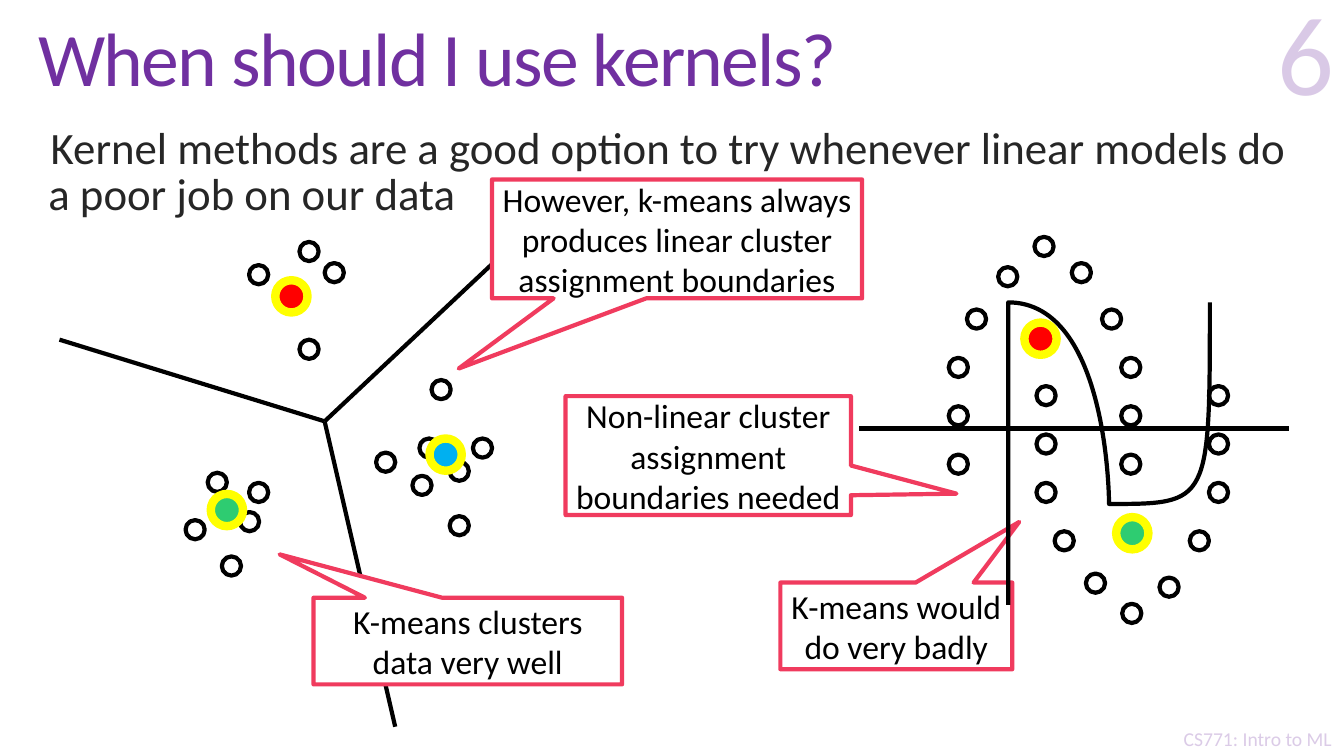
from dataclasses import dataclass

from pptx import Presentation
from pptx.dml.color import RGBColor
from pptx.enum.shapes import MSO_CONNECTOR as Connector, MSO_SHAPE as Shape
from pptx.enum.text import MSO_ANCHOR as Anchor, MSO_AUTO_SIZE as AutoSize, PP_ALIGN as Align
from pptx.oxml.ns import qn
from pptx.oxml.xmlchemy import OxmlElement
from pptx.util import Inches, Pt


@dataclass(frozen=True)
class Theme:
    font: str = "Calibri"
    purple: str = "7030A0"
    body: str = "262626"
    ink: str = "000000"
    paper: str = "FFFFFF"
    callout: str = "F03B5E"
    halo: str = "FFFF00"
    red: str = "FF0000"
    blue: str = "00B0F0"
    green: str = "2ECC71"
    title_size: int = 54
    body_size: int = 32
    callout_size: int = 24
    number_size: int = 80
    footer_size: int = 14
    line_width: int = 3
    halo_width: int = 6
    dot: float = 0.19
    centroid: float = 0.32


class KernelSlide:
    def __init__(self, deck, theme):
        self.theme = theme
        self.page = deck.slides.add_slide(deck.slide_layouts[1])
        self.shapes = self.page.shapes

    def set_alpha(self, fill, percent):
        alpha = OxmlElement("a:alpha")
        alpha.set("val", str(percent * 1000))
        fill.find(qn("a:srgbClr")).append(alpha)

    def fill_text(self, box, text, size, color, align, anchor, wrap=True):
        frame = box.text_frame
        frame.text = text
        frame.word_wrap = wrap
        frame.auto_size = AutoSize.NONE
        frame.vertical_anchor = anchor
        para = frame.paragraphs[0]
        para.alignment = align
        para.space_before = Pt(0)
        span = para.runs[0]
        span.font.name = self.theme.font
        span.font.size = Pt(size)
        span.font.color.rgb = RGBColor.from_string(color)
        return para, span

    def place(self, box, left, top, width, height):
        box.left, box.top = Inches(left), Inches(top)
        box.width, box.height = Inches(width), Inches(height)

    def title(self, text, *bounds):
        box = self.shapes.title
        self.place(box, *bounds)
        para, span = self.fill_text(box, text, self.theme.title_size, self.theme.purple, Align.LEFT, Anchor.MIDDLE)
        para.line_spacing = 0.85
        span.font._element.set("spc", "-120")

    def body(self, text, *bounds):
        box = self.page.placeholders[1]
        self.place(box, *bounds)
        para, _ = self.fill_text(box, text, self.theme.body_size, self.theme.body, Align.LEFT, Anchor.TOP)
        para.line_spacing = 0.85
        properties = para._p.get_or_add_pPr()
        properties.set("marL", str(Inches(0.1)))
        properties.set("indent", str(Inches(-0.1)))
        bullet = OxmlElement("a:buChar")
        bullet.set("char", " ")
        properties.append(bullet)

    def label(self, text, bounds, size, align, anchor, wrap=True):
        box = self.shapes.add_textbox(*map(Inches, bounds))
        return self.fill_text(box, text, size, self.theme.purple, align, anchor, wrap)[1]

    def number(self, text, *bounds):
        span = self.label(text, bounds, self.theme.number_size, Align.RIGHT, Anchor.BOTTOM)
        self.set_alpha(span.font._element.find(qn("a:solidFill")), 25)

    def footer(self, text, *bounds):
        self.label(text, bounds, self.theme.footer_size, Align.CENTER, Anchor.TOP, False)

    def stroke(self, line, color, width):
        line.color.rgb = RGBColor.from_string(color)
        line.width = Pt(width)

    def shape(self, kind, bounds, fill, line=None, width=0):
        shape = self.shapes.add_shape(kind, *map(Inches, bounds))
        shape.shadow.inherit = False
        shape.fill.solid()
        shape.fill.fore_color.rgb = RGBColor.from_string(fill)
        if line:
            self.stroke(shape.line, line, width)
        else:
            shape.line.fill.background()
        return shape

    def veil(self, *bounds):
        shape = self.shape(Shape.RECTANGLE, bounds, self.theme.paper)
        self.set_alpha(shape._element.spPr.find(qn("a:solidFill")), 75)

    def dots(self, points):
        size = self.theme.dot
        for left, top in points:
            self.shape(Shape.OVAL, (left, top, size, size), self.theme.paper, self.theme.ink, self.theme.line_width)

    def centroid(self, left, top, color):
        size = self.theme.centroid
        self.shape(Shape.OVAL, (left, top, size, size), color, self.theme.halo, self.theme.halo_width)

    def line(self, start, end):
        line = self.shapes.add_connector(Connector.STRAIGHT, *map(Inches, start + end))
        self.stroke(line.line, self.theme.ink, self.theme.line_width)
        line._element.spPr.append(OxmlElement("a:effectLst"))

    def callout(self, text, bounds, tip):
        shape = self.shape(Shape.RECTANGULAR_CALLOUT, bounds, self.theme.paper, self.theme.callout, self.theme.line_width)
        shape.adjustments[0], shape.adjustments[1] = tip
        self.fill_text(shape, text, self.theme.callout_size, self.theme.ink, Align.CENTER, Anchor.MIDDLE)

    def curve(self, start, controls):
        builder = self.shapes.build_freeform(*start, scale=Inches(1))
        builder.add_line_segments(controls, close=False)
        shape = builder.convert_to_shape()
        shape.shadow.inherit = False
        shape.fill.background()
        self.stroke(shape.line, self.theme.ink, self.theme.line_width)
        outline = next(shape._element.iter(qn("a:path")))
        segments = outline.findall(qn("a:lnTo"))
        for first in range(0, len(segments), 3):
            bezier = OxmlElement("a:cubicBezTo")
            for segment in segments[first:first + 3]:
                bezier.append(segment[0])
                outline.remove(segment)
            outline.append(bezier)


def main():
    deck = Presentation()
    deck.slide_width, deck.slide_height = Inches(13.33), Inches(7.5)
    theme = Theme()
    slide = KernelSlide(deck, theme)

    slide.footer("CS771: Intro to ML", 11.52, 7.16, 1.91, 0.34)
    slide.veil(11.64, 5.68, 1.69, 1.82)
    slide.title("When should I use kernels?", 0.28, 0.04, 12.69, 1.18)
    slide.body("Kernel methods are a good option to try whenever linear models do a poor job on our data",
               0.28, 1.22, 12.69, 5.8)
    slide.number("6", 10.13, 0.05, 3.2, 1.17)

    red_cluster = [(2.79, 2.81), (3.22, 2.61), (2.97, 2.4), (2.97, 3.37), (2.47, 2.63)]
    green_cluster = [(2.06, 4.69), (2.38, 5.08), (2.47, 4.79), (1.84, 5.16), (2.2, 5.52)]
    blue_cluster = [(4.28, 3.77), (4.69, 4.35), (4.16, 4.35), (4.46, 4.58),
                    (4.09, 4.72), (3.73, 4.49), (4.46, 5.12)]
    slide.dots(red_cluster + green_cluster + blue_cluster)
    slide.centroid(2.73, 2.78, theme.red)
    slide.centroid(4.26, 4.35, theme.blue)
    slide.centroid(2.09, 4.9, theme.green)

    junction = (3.22, 4.18)
    for end in [(0.59, 3.37), (5.54, 2), (3.92, 7.21)]:
        slide.line(junction, end)

    crown = [(10.26, 2.35), (9.9, 2.65), (10.63, 2.61), (9.59, 3.07), (10.93, 3.07)]
    legs = [(left, 3.55 + 0.48 * row) for row in range(3) for left in (9.41, 11.12)]
    upper_arch = crown + legs
    lower_arch = [(left + 0.87, 8.34 - top) for left, top in upper_arch]
    slide.dots(upper_arch + lower_arch)

    slide.callout("K-means clusters data very well", (3.11, 5.93, 3.06, 0.86), (-0.61, -1))
    slide.callout("However, k-means always produces linear cluster assignment boundaries",
                  (4.88, 1.78, 3.67, 1.18), (-0.59, 1.09))
    slide.callout("Non-linear cluster assignment boundaries needed", (5.61, 3.93, 2.83, 1.18), (0.87, 0.32))
    slide.callout("K-means would do very badly", (7.74, 5.78, 2.3, 0.86), (0.53, -1.2))

    slide.centroid(10.16, 3.2, theme.red)
    slide.centroid(11.07, 5.13, theme.green)
    slide.line((8.52, 4.25), (12.78, 4.25))
    slide.curve((9.74, 5.58), [(9.88, 4.38), (9.93, 3.38), (10.33, 3.37),
                               (10.96, 3.36), (10.6, 5.31), (11.22, 5.32),
                               (11.51, 5.32), (11.77, 4.51), (11.75, 3)])
    deck.save("out.pptx")


if __name__ == "__main__":
    main()
